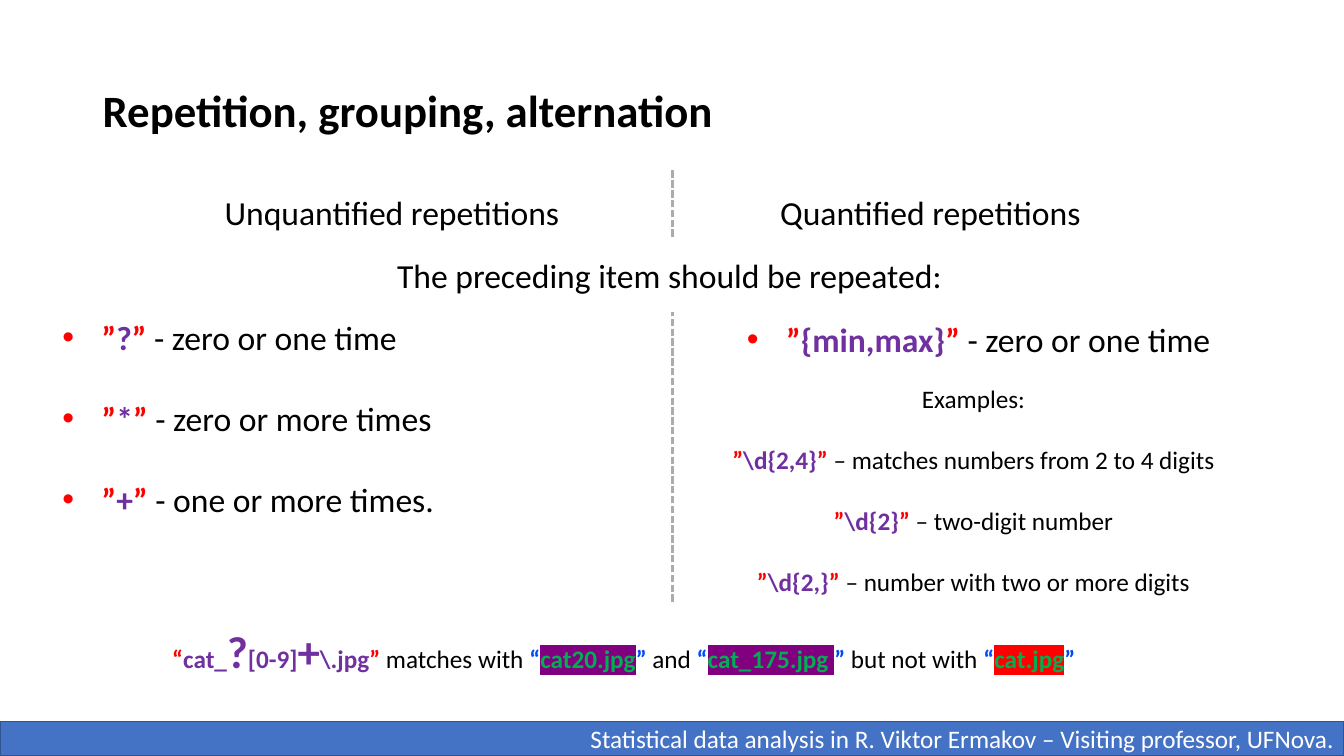
"""Build the slide on repetition, grouping and alternation in regular expressions."""
from dataclasses import dataclass

from lxml import etree
from pptx import Presentation
from pptx import util as u
from pptx.dml import color
from pptx.enum import dml, shapes, text
from pptx.oxml import ns

COLORS = {
    "ink": "000000", "white": "FFFFFF", "quote": "FF0000", "pattern": "7030A0",
    "sample_quote": "014BF6", "sample": "00B050", "match": "800080",
    "mismatch": "FF0000", "footer": "4472C4", "footer_line": "325491",
    "divider": "AFABAB",
}
FONT = "Calibri"
LINE_HEIGHT = 1.22
BULLET_INDENT = 0.39


@dataclass(frozen=True)
class Run:
    """A stretch of text in one format; size 0 takes the size of the box."""
    text: str
    color: str = "ink"
    bold: bool = False
    size: int = 0
    mark: str = ""


@dataclass(frozen=True)
class Box:
    """A text box with its paragraphs."""
    left: float
    top: float
    width: float
    height: float
    paragraphs: list[list[Run]]
    size: int = 24
    wrap: bool = False
    bullets: bool = False
    align: text.PP_ALIGN = text.PP_ALIGN.LEFT


@dataclass(frozen=True)
class Divider:
    """A dashed vertical line."""
    x: float
    start: float
    end: float


def rgb(name: str) -> color.RGBColor:
    """Look up a named colour."""
    return color.RGBColor.from_string(COLORS[name])


def quoted(pattern: str, meaning: str) -> list[Run]:
    """Put a pattern in red quotes before its meaning."""
    return [Run("”", "quote", True), Run(pattern, "pattern", True),
            Run("”", "quote", True), Run(meaning)]


def sample(name: str, mark: str) -> list[Run]:
    """Put a highlighted file name in blue quotes."""
    return [Run("“", "sample_quote", True), Run(name, "sample", True, mark=mark),
            Run("”", "sample_quote", True)]


def add_run(p, run: Run, size: int) -> None:
    """Append one formatted run to a paragraph."""
    r = p.add_run()
    r.text = run.text
    r.font.size = u.Pt(run.size or size)
    r.font.bold = run.bold
    r.font.color.rgb = rgb(run.color)
    if run.mark:
        highlight = etree.Element(ns.qn("a:highlight"))
        etree.SubElement(highlight, ns.qn("a:srgbClr"), val=COLORS[run.mark])
        r.font._element.find(ns.qn("a:solidFill")).addnext(highlight)
    r.font.name = FONT


def add_bullet(p) -> None:
    """Give a paragraph a hanging bullet."""
    pPr = p._p.get_or_add_pPr()
    pPr.set("marL", str(u.Inches(BULLET_INDENT)))
    pPr.set("indent", str(-u.Inches(BULLET_INDENT)))
    etree.SubElement(pPr, ns.qn("a:buFont"), typeface="Arial")
    etree.SubElement(pPr, ns.qn("a:buChar"), char="•")


def add_box(s, box: Box):
    """Draw a text box, one line apart between paragraphs, and return its frame."""
    sp = s.shapes.add_textbox(u.Inches(box.left), u.Inches(box.top),
                              u.Inches(box.width), u.Inches(box.height))
    tf = sp.text_frame
    tf.word_wrap = box.wrap
    tf.auto_size = text.MSO_AUTO_SIZE.SHAPE_TO_FIT_TEXT
    for i, runs in enumerate(box.paragraphs):
        p = tf.add_paragraph() if i else tf.paragraphs[0]
        p.alignment = box.align
        if i:
            p.space_before = u.Pt(round(box.size * LINE_HEIGHT, 1))
        if box.bullets:
            add_bullet(p)
        for run in runs:
            add_run(p, run, box.size)
    return tf


def add_title(s, title: str) -> None:
    """Draw the slide title, centred vertically in its area."""
    tf = add_box(s, Box(0.92, 0.4, 11.5, 1.45, [[Run(title, bold=True)]], 32, True))
    tf.auto_size = text.MSO_AUTO_SIZE.NONE
    tf.vertical_anchor = text.MSO_ANCHOR.MIDDLE
    tf.paragraphs[0].line_spacing = 0.9


def add_footer(s, caption: str) -> None:
    """Draw the footer bar."""
    sp = s.shapes.add_shape(shapes.MSO_SHAPE.RECTANGLE, u.Inches(0), u.Inches(7.16),
                            u.Inches(13.33), u.Inches(0.34))
    sp.shadow.inherit = False
    sp.fill.solid()
    sp.fill.fore_color.rgb = rgb("footer")
    sp.line.color.rgb = rgb("footer_line")
    sp.line.width = u.Pt(1)
    tf = sp.text_frame
    tf.word_wrap = True
    tf.vertical_anchor = text.MSO_ANCHOR.MIDDLE
    p = tf.paragraphs[0]
    p.alignment = text.PP_ALIGN.RIGHT
    add_run(p, Run(caption, "white"), 18)


def add_divider(s, divider: Divider) -> None:
    """Draw a dashed divider."""
    x = u.Inches(divider.x)
    line = s.shapes.add_connector(shapes.MSO_CONNECTOR.STRAIGHT, x, u.Inches(divider.start),
                                  x, u.Inches(divider.end))
    line.line.color.rgb = rgb("divider")
    line.line.width = u.Pt(1.75)
    line.line.dash_style = dml.MSO_LINE.SQUARE_DOT
    etree.SubElement(line._element.spPr, ns.qn("a:effectLst"))


UNQUANTIFIED = [quoted("?", " - zero or one time"), quoted("*", " - zero or more times"),
                quoted("+", " - one or more times.")]
EXAMPLES = [[Run("Examples:")],
            quoted(r"\d{2,4}", " – matches numbers from 2 to 4 digits"),
            quoted(r"\d{2}", " – two-digit number"),
            quoted(r"\d{2,}", " – number with two or more digits")]
MATCHES = [Run("“", "quote", True), Run("cat_", "pattern", True),
           Run("?", "pattern", True, 32), Run("[0-9]", "pattern", True),
           Run("+", "pattern", True, 32), Run(r"\.jpg", "pattern", True),
           Run("”", "quote", True), Run(" matches with "),
           *sample("cat20.jpg", "match"), Run(" and "),
           *sample("cat_175.jpg ", "match"), Run(" but not with "),
           *sample("cat.jpg", "mismatch")]
BOXES = [
    Box(2.13, 1.85, 3.56, 0.5, [[Run("Unquantified repetitions")]]),
    Box(7.64, 1.85, 3.22, 0.5, [[Run("Quantified repetitions")]]),
    Box(3.84, 2.48, 5.66, 0.5, [[Run("The preceding item should be repeated:")]]),
    Box(0.52, 3.09, 3.92, 2.12, UNQUANTIFIED, bullets=True),
    Box(7.31, 3.11, 4.84, 0.5, [quoted("{min,max}", " - zero or one time")], bullets=True),
    Box(6.89, 3.75, 5.53, 2.22, EXAMPLES, 18, True, align=text.PP_ALIGN.CENTER),
    Box(1.61, 6.14, 9.18, 0.64, [MATCHES], 18, True),
]
DIVIDERS = [Divider(6.67, 2.35, 1.67), Divider(6.67, 5.97, 3.1)]


def main() -> None:
    """Assemble and save the slide."""
    prs = Presentation()
    prs.slide_width, prs.slide_height = u.Inches(13.33), u.Inches(7.5)
    s = prs.slides.add_slide(prs.slide_layouts[6])
    add_title(s, "Repetition, grouping, alternation")
    add_footer(s, "Statistical data analysis in R. Viktor Ermakov – Visiting professor, UFNova.")
    for divider in DIVIDERS:
        add_divider(s, divider)
    for box in BOXES:
        add_box(s, box)
    prs.save("out.pptx")


if __name__ == "__main__":
    main()
